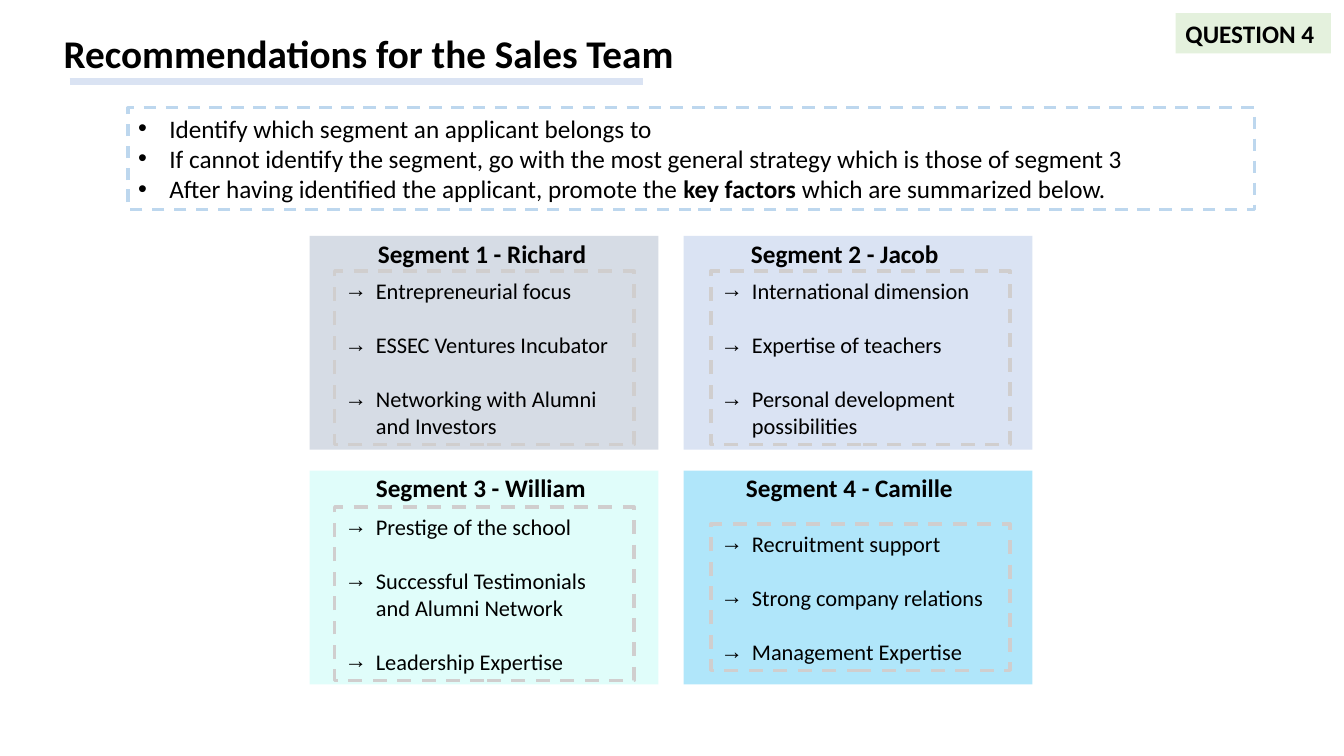
"""Build the sales team recommendations slide."""
from dataclasses import dataclass

from lxml import etree
from pptx import Presentation
from pptx.dml.color import RGBColor
from pptx.enum import dml, shapes, text
from pptx.oxml.ns import qn
from pptx.util import Emu, Pt

PX = 9144


@dataclass(frozen=True)
class Theme:
    """Hold the colours, font and type sizes."""
    font: str = "Calibri"
    ink: str = "000000"
    rule: str = "DAE3F3"
    frame: str = "BDD7EE"
    inset: str = "D0CECE"
    tag: str = "C5E0B4"
    title: int = 28
    body: int = 18
    item: int = 16
    gap: float = 19.5


T = Theme()

ADVICE = [
    [("Identify which segment an applicant belongs to", False)],
    [("If cannot identify the segment, go with the most general strategy "
      "which is those of segment 3", False)],
    [("After having identified the applicant, promote the ", False),
     ("key factors ", True), ("which are summarized below.", False)],
]

CARDS = [
    ("Segment 1 - Richard", "D6DCE5", 100, 365, (269, 172),
     ["Entrepreneurial focus", "ESSEC Ventures Incubator",
      "Networking with Alumni and Investors"]),
    ("Segment 2 - Jacob", "DAE3F3", 100, 735, (269, 172),
     ["International dimension", "Expertise of teachers",
      "Personal development possibilities"]),
    ("Segment 3 - William", "65F5E7", 20, 363, (503, 172),
     ["Prestige of the school", "Successful Testimonials and Alumni Network",
      "Leadership Expertise"]),
    ("Segment 4 - Camille", "00B0F0", 31, 730, (520, 145),
     ["Recruitment support", "Strong company relations",
      "Management Expertise"]),
]


def emu(*px):
    """Turn px lengths into EMU."""
    return [Emu(p * PX) for p in px]


def rgb(code):
    """Return a colour from its hex code."""
    return RGBColor.from_string(code)


def style(para, size, bold=False):
    """Set the font of a paragraph."""
    font = para.font
    font.name, font.size, font.bold = T.font, Pt(size), bold
    font.color.rgb = rgb(T.ink)


def place(shape, *box):
    """Move a placeholder to a box in px."""
    shape.left, shape.top, shape.width, shape.height = emu(*box)
    shape.text_frame.auto_size = text.MSO_AUTO_SIZE.NONE


def dash(shape, color, width):
    """Give a shape a dashed outline."""
    shape.line.color.rgb = rgb(color)
    shape.line.width = Pt(width)
    shape.line.dash_style = dml.MSO_LINE.DASH


def panel(slide, box, color=None, alpha=100):
    """Add a rectangle without outline, filled if a colour is given."""
    shape = slide.shapes.add_shape(shapes.MSO_SHAPE.RECTANGLE, *emu(*box))
    shape.shadow.inherit = False
    shape.line.fill.background()
    if color is None:
        shape.fill.background()
        return shape
    shape.fill.solid()
    shape.fill.fore_color.rgb = rgb(color)
    if alpha < 100:
        tone = shape.fill._xPr.find(qn("a:solidFill"))[0]
        etree.SubElement(tone, qn("a:alpha"), val=str(alpha * 1000))
    return shape


def label(shape, words):
    """Write one bold line in a shape."""
    shape.text_frame.word_wrap = True
    para = shape.text_frame.paragraphs[0]
    para.text = words
    para.alignment = text.PP_ALIGN.LEFT
    style(para, T.body, True)


def bullets(frame, rows, mark, size, gap=0):
    """Fill a frame with marked paragraphs made of (words, bold) runs."""
    frame.word_wrap = True
    for i, row in enumerate(rows):
        para = frame.add_paragraph() if i else frame.paragraphs[0]
        para.alignment = text.PP_ALIGN.LEFT
        para.space_before = Pt(gap if i else 0)
        props = para._p.get_or_add_pPr()
        props.set("marL", str(31 * PX))
        props.set("indent", str(-31 * PX))
        etree.SubElement(props, qn("a:buFont"), typeface="Arial")
        etree.SubElement(props, qn("a:buChar"), char=mark)
        style(para, size)
        for words, bold in row:
            run = para.add_run()
            run.text = words
            if bold:
                run.font.bold = True


def rule(slide):
    """Draw the bar under the title."""
    line = slide.shapes.add_connector(
        shapes.MSO_CONNECTOR.STRAIGHT, *emu(69, 81, 638, 81))
    line.line.color.rgb = rgb(T.rule)
    line.line.width = Pt(5)
    etree.SubElement(line._element.spPr, qn("a:effectLst"))


def card(slide, spot, name, color, alpha, left, span, items):
    """Add one segment card with its name and framed list."""
    row, col = divmod(spot, 2)
    panel(slide, (307 + 371 * col, 234 + 233 * row, 346, 212), color, alpha)
    head = slide.shapes.add_textbox(*emu(left, 232 + 232 * row, 248, 40))
    label(head, name)
    top, high = span
    inset = panel(slide, (332 + 373 * col, top, 297, high))
    dash(inset, T.inset, 2.5)
    rows = [[(item, False)] for item in items]
    bullets(inset.text_frame, rows, "→", T.item, T.gap)


def main():
    """Build and save the slide."""
    deck = Presentation()
    deck.slide_width, deck.slide_height = emu(1333, 750)
    slide = deck.slides.add_slide(deck.slide_layouts[1])
    title, body = slide.placeholders
    place(title, -71, 24, 873, 57)
    title.text_frame.text = "Recommendations for the Sales Team"
    style(title.text_frame.paragraphs[0], T.title, True)
    rule(slide)
    place(body, 127, 107, 1117, 101)
    dash(body, T.frame, 2.25)
    bullets(body.text_frame, ADVICE, "•", T.body)
    for spot, data in enumerate(CARDS):
        card(slide, spot, *data)
    label(panel(slide, (1166, 13, 154, 40), T.tag, 45), "QUESTION 4")
    deck.save("out.pptx")


if __name__ == "__main__":
    main()
